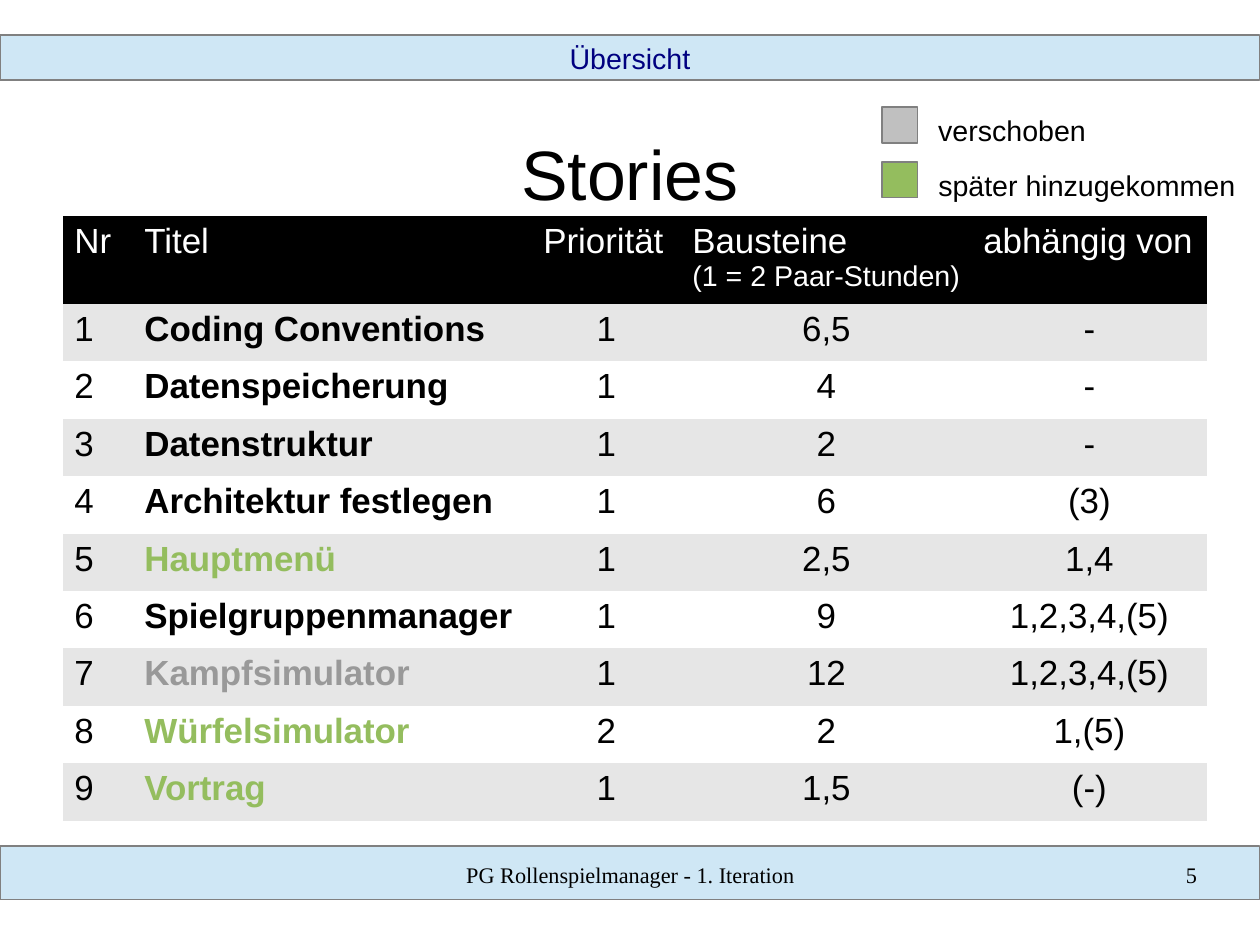
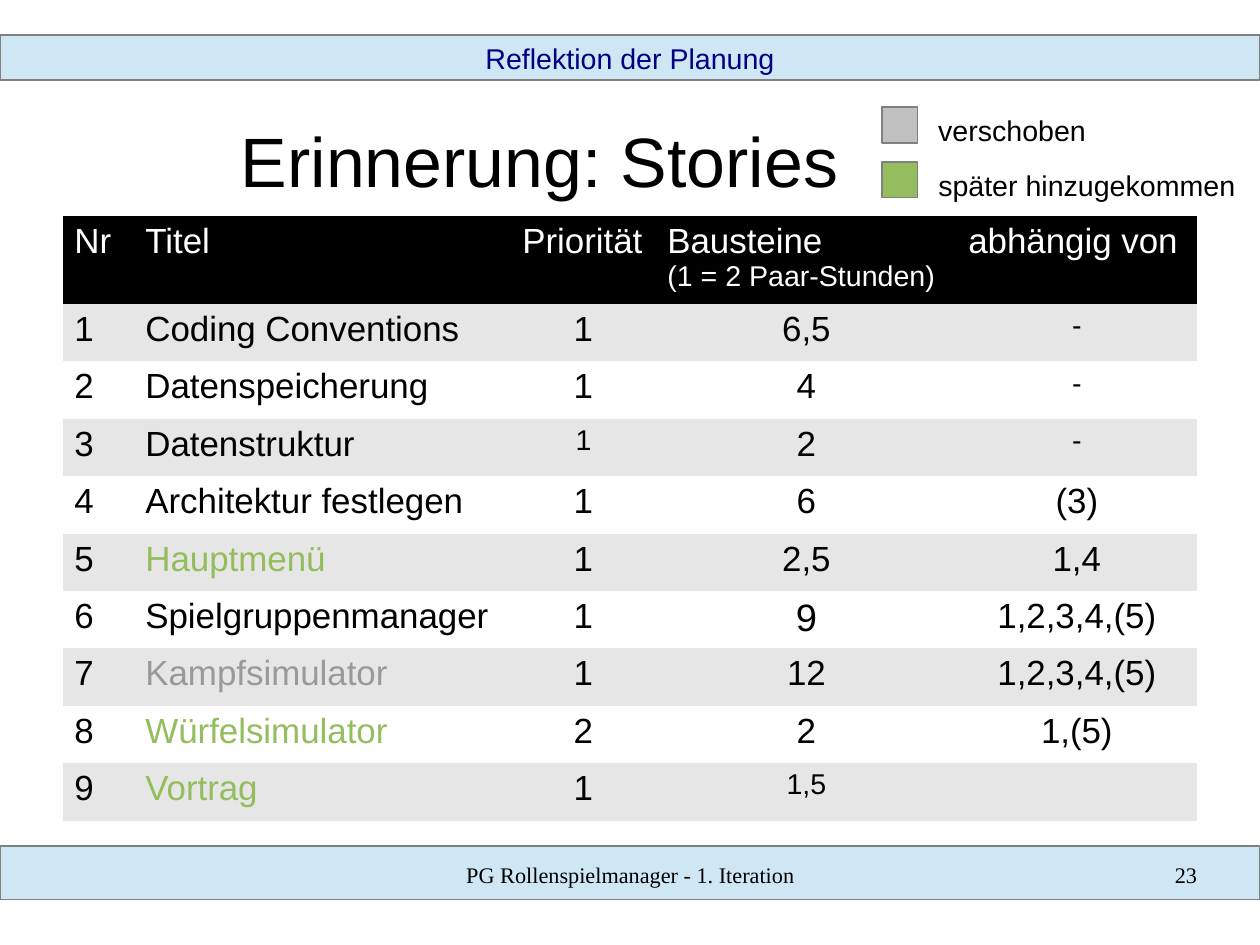
from dataclasses import dataclass

from pptx import Presentation
from pptx import util as u
from pptx.dml.color import RGBColor
from pptx.enum import shapes, text
from pptx.oxml.ns import qn

SCALE = 8000
LEFT, MID, RIGHT = text.PP_ALIGN.LEFT, text.PP_ALIGN.CENTER, text.PP_ALIGN.RIGHT


@dataclass(frozen=True)
class Theme:
    sans: str = "Arial"
    serif: str = "Times New Roman"
    black: str = "000000"
    white: str = "FFFFFF"
    navy: str = "000080"
    band: str = "CFE7F5"
    edge: str = "808080"
    grey: str = "C0C0C0"
    green: str = "94BD5E"
    faint: str = "999999"
    stripe: str = "E6E6E6"
    title: int = 44
    body: int = 22
    large: int = 24
    small: int = 18
    foot: int = 14


T = Theme()
WIDTH, HEIGHT = 1260, 945
TABLE_X, TABLE_Y, HEAD_H, ROWS_H = 63, 216, 88, 517
NO_GRID = "{2D5ABB26-0587-4C30-8999-92F81FD0307C}"

HEAD = ["Nr", "Titel", "Priorität", "Bausteine\n(1 = 2 Paar-Stunden)", "abhängig von"]
TASKS = [
    ("Coding Conventions", T.black, "1", "6,5", "-"),
    ("Datenspeicherung", T.black, "1", "4", "-"),
    ("Datenstruktur", T.black, "1", "2", "-"),
    ("Architektur festlegen", T.black, "1", "6", "(3)"),
    ("Hauptmenü", T.green, "1", "2,5", "1,4"),
    ("Spielgruppenmanager", T.black, "1", "9", "1,2,3,4,(5)"),
    ("Kampfsimulator", T.faint, "1", "12", "1,2,3,4,(5)"),
    ("Würfelsimulator", T.green, "2", "2", "1,(5)"),
    ("Vortrag", T.green, "1", "1,5", "(-)"),
]


def px(*vals):
    return [u.Emu(val * SCALE) for val in vals]


def write(par, words, size, ink=T.black, face=T.sans, bold=False, align=LEFT):
    par.alignment = align
    run = par.add_run()
    run.text = words
    run.font.size = u.Pt(size)
    run.font.name = face
    run.font.bold = bold
    run.font.color.rgb = RGBColor.from_string(ink)


def label(slide, box, words, size, inset=True, wrap=True, mid=False, **style):
    frame = slide.shapes.add_textbox(*px(*box)).text_frame
    frame.word_wrap = wrap
    if not inset:
        frame.margin_left = frame.margin_right = 0
        frame.margin_top = frame.margin_bottom = 0
    frame.vertical_anchor = text.MSO_ANCHOR.MIDDLE if mid else text.MSO_ANCHOR.TOP
    write(frame.paragraphs[0], words, size, **style)


def block(slide, box, fill):
    shape = slide.shapes.add_shape(shapes.MSO_SHAPE.RECTANGLE, *px(*box))
    shape.shadow.inherit = False
    shape.fill.solid()
    shape.fill.fore_color.rgb = RGBColor.from_string(fill)
    shape.line.color.rgb = RGBColor.from_string(T.edge)
    shape.line.width = u.Emu(0)


def base(deck, topic, page):
    slide = deck.slides.add_slide(deck.slide_layouts[6])
    block(slide, (0, 846, WIDTH, 54), T.band)
    block(slide, (0, 35, WIDTH, 45), T.band)
    label(slide, (0, 35, WIDTH, 43), topic, T.small, ink=T.navy, align=MID)
    label(slide, (431, 861, 399, 65), "PG Rollenspielmanager - 1. Iteration",
          T.foot, inset=False, face=T.serif, align=MID)
    label(slide, (903, 861, 294, 65), str(page),
          T.foot, inset=False, face=T.serif, align=RIGHT)
    return slide


def legend(slide):
    marks = [("verschoben", T.grey, True), ("später hinzugekommen", T.green, False)]
    for i, (words, fill, wrap) in enumerate(marks):
        top = 107 + 55 * i
        block(slide, (882, top, 36, 36), fill)
        label(slide, (927, top, 198 if wrap else 320, 43), words, T.small, wrap=wrap)


def paint(cell, fill):
    cell.fill.solid()
    cell.fill.fore_color.rgb = RGBColor.from_string(fill)


def head(cell, words):
    paint(cell, T.black)
    frame = cell.text_frame
    for i, line in enumerate(words.split("\n")):
        par = frame.add_paragraph() if i else frame.paragraphs[0]
        write(par, line, T.small if i else T.body, ink=T.white)


def grid(slide, cols, bold, sizes, last):
    rows = len(TASKS) + 1
    frame = slide.shapes.add_table(
        rows, len(cols), *px(TABLE_X, TABLE_Y, sum(cols), HEAD_H + ROWS_H))
    frame.element.find(".//" + qn("a:tableStyleId")).text = NO_GRID
    table = frame.table
    table.first_row = table.horz_banding = False
    for col, wide in zip(table.columns, px(*cols)):
        col.width = wide
    for row in table.rows:
        row.height = u.Emu(ROWS_H * SCALE // len(TASKS))
    table.rows[0].height = px(HEAD_H)[0]
    for c, words in enumerate(HEAD):
        head(table.cell(0, c), words)
    for r, (name, ink, *vals) in enumerate(TASKS, 1):
        if r == len(TASKS):
            vals[-1] = last
        for c, words in enumerate([str(r), name, *vals]):
            cell = table.cell(r, c)
            paint(cell, T.stripe if r % 2 else T.white)
            if words:
                write(cell.text_frame.paragraphs[0], words, sizes.get((r, c), T.body),
                      ink=ink if c == 1 else T.black, bold=bold and c == 1,
                      align=MID if c > 1 else LEFT)


def story(deck, topic, page, title, spot, cols, bold, sizes, last):
    slide = base(deck, topic, page)
    label(slide, (*spot, 1134, 158), title, T.title, inset=False, mid=True, align=MID)
    legend(slide)
    grid(slide, cols, bold, sizes, last)


def main():
    deck = Presentation()
    deck.slide_width, deck.slide_height = px(WIDTH, HEIGHT)
    story(deck, "Übersicht", 5, "Stories", (63, 94),
          (70, 399, 149, 291, 235), True, {}, "(-)")
    odd = dict.fromkeys([(1, 4), (2, 4), (3, 2), (3, 4), (9, 3)], T.small)
    odd[6, 3] = T.large
    story(deck, "Reflektion der Planung", 23, "Erinnerung: Stories", (-27, 81),
          (71, 377, 145, 301, 240), False, odd, "")
    deck.save("out.pptx")


if __name__ == "__main__":
    main()
